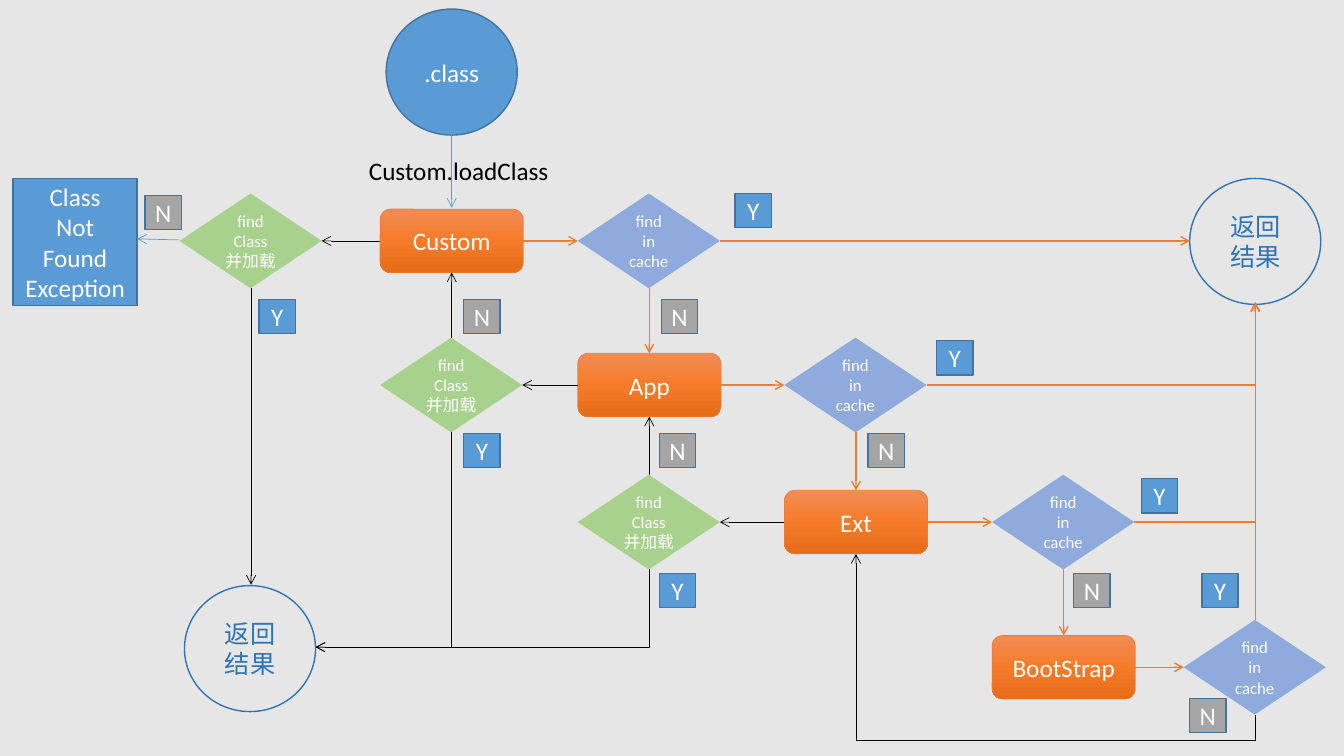
from copy import deepcopy

from lxml import etree
from pptx import Presentation
from pptx.dml.color import RGBColor
from pptx.enum import shapes as kinds, text as align
from pptx.oxml.ns import qn
from pptx.util import Inches, Pt

# Content
LOADERS = ["Custom", "App", "Ext", "BootStrap"]
CACHE_STEP = "find\nin\ncache"
CLASS_STEP = "find\nClass\n并加载"
RESULT = "返回结果"
ERROR = "Class\vNot\vFound\vException"
START = ".class"
CALL = "Custom.loadClass"
BRANCHES = {
    "Y": [(7.29, 1.92), (9.29, 3.38), (11.32, 4.75), (11.92, 5.69),
          (2.57, 2.97), (4.6, 4.3), (6.54, 5.69)],
    "N": [(6.56, 2.97), (8.61, 4.3), (10.65, 5.69), (11.8, 6.93),
          (1.44, 1.94), (4.6, 2.97), (6.54, 4.3)],
}

# Theme: fill, line, line width, text colour, text size
THEME = {
    "font": "Calibri", "background": "E7E6E6", "call": "000000",
    "gradient": [(0, "F18C57"), (0.5, "F67B28"), (1, "E56C19")],
    "start": ("5B9BD5", "43739E", 1, "FFFFFF", 18),
    "result": (None, "2E75B6", 1, "2E75B6", 18),
    "loader": ("gradient", "ED7D31", 0.5, "FFFFFF", 18),
    "cache": ("8FAADC", None, 0, "FFFFFF", 12),
    "class": ("A9D18E", None, 0, "FFFFFF", 12),
    "Y": ("5B9BD5", "43739E", 1, "FFFFFF", 18),
    "N": ("A5A5A5", "43739E", 1, "FFFFFF", 18),
    "down": ("ED7D31", 1), "up": ("000000", 0.5), "edge": ("5B9BD5", 0.5),
}

# Grid: one column per step, one row per loader
COLUMNS = [1.78, 3.77, 5.73, 7.78, 9.84, 11.74]
ROWS = [2.39, 3.82, 5.18, 6.62]
CENTRES = [left + 0.71 for left in COLUMNS]
LOADER, DIAMOND, CIRCLE, BRANCH = (1.42, 0.63), (1.41, 0.94), (1.3, 1.25), (0.36, 0.34)
HALF_LOADER, HALF_DIAMOND = LOADER[1] / 2, DIAMOND[1] / 2
SHAPE = kinds.MSO_SHAPE

deck = Presentation()
deck.slide_width, deck.slide_height = Inches(13.33), Inches(7.5)
slide = deck.slides.add_slide(deck.slide_layouts[6])
slide.background.fill.solid()
slide.background.fill.fore_color.rgb = RGBColor.from_string(THEME["background"])


def write(frame, words, color, size, alignment):
    frame.text = words
    for paragraph in frame.paragraphs:
        paragraph.alignment = alignment
        paragraph.font.color.rgb = RGBColor.from_string(color)
        for name, value in {"name": THEME["font"], "size": Pt(size)}.items():
            setattr(paragraph.font, name, value)


def paint_gradient(fill):
    fill.gradient()
    fill.gradient_angle = 270
    first = fill.gradient_stops[0].color
    first.rgb = RGBColor.from_string(THEME["gradient"][0][1])
    stop_list = fill._xPr.find(qn("a:gradFill")).find(qn("a:gsLst"))
    stop_list.insert(1, deepcopy(stop_list[0]))
    for stop, (position, color) in zip(fill.gradient_stops, THEME["gradient"]):
        stop.position = position
        stop.color.rgb = RGBColor.from_string(color)


def node(kind, words, style, left, top, size):
    fill, line, width, color, points = THEME[style]
    shape = slide.shapes.add_shape(kind, *map(Inches, (left, top, *size)))
    shape.shadow.inherit = False
    if fill == "gradient":
        paint_gradient(shape.fill)
    elif fill:
        shape.fill.solid()
        shape.fill.fore_color.rgb = RGBColor.from_string(fill)
    else:
        shape.fill.background()
    if line:
        shape.line.color.rgb = RGBColor.from_string(line)
        shape.line.width = Pt(width)
    else:
        shape.line.fill.background()
    shape.text_frame.vertical_anchor = align.MSO_ANCHOR.MIDDLE
    write(shape.text_frame, words, color, points, align.PP_ALIGN.CENTER)


def arrow(style, start, end, bend=None, turned=False, overshoot=None):
    """Straight arrow, or a bent one; a turned bend leaves vertically."""
    (x1, y1), (x2, y2) = start, end
    if turned:
        mid_x, mid_y = (x1 + x2) / 2, (y1 + y2) / 2
        rise, run = (y2 - y1) / 2, abs(x2 - x1) / 2
        x1, y1, x2, y2 = mid_x - rise, mid_y - run, mid_x + rise, mid_y + run
    kind = kinds.MSO_CONNECTOR.ELBOW if bend else kinds.MSO_CONNECTOR.STRAIGHT
    link = slide.shapes.add_connector(kind, *map(Inches, (x1, y1, x2, y2)))
    color, width = THEME[style]
    link.line.color.rgb = RGBColor.from_string(color)
    link.line.width = Pt(width)
    properties = link.element.spPr
    if turned:
        properties.find(qn("a:xfrm")).set("rot", "5400000")
    if bend:
        geometry = properties.find(qn("a:prstGeom"))
        geometry.set("prst", bend)
        if overshoot is not None:
            guides = geometry.find(qn("a:avLst"))
            etree.SubElement(guides, qn("a:gd"), name="adj1",
                             fmla=f"val {round(overshoot * 100000)}")
    etree.SubElement(properties.find(qn("a:ln")), qn("a:tailEnd"), type="arrow")
    etree.SubElement(properties, qn("a:effectLst"))


# Entry, error and result nodes
node(SHAPE.OVAL, START, "start", 3.83, 0.09, CIRCLE)
node(SHAPE.OVAL, RESULT, "result", 1.83, 5.81, CIRCLE)
node(SHAPE.OVAL, RESULT, "result", 11.8, 1.77, CIRCLE)
node(SHAPE.RECTANGLE, ERROR, "start", 0.13, 1.77, (1.23, 1.26))
arrow("edge", (CENTRES[1], 1.32), (CENTRES[1], 2.06))
arrow("edge", (COLUMNS[0], 2.38), (1.36, 2.37))

call = slide.shapes.add_textbox(*map(Inches, (3.56, 1.49, 1.98, 0.4)))
call.text_frame.word_wrap = False
write(call.text_frame, CALL, THEME["call"], 18, align.PP_ALIGN.LEFT)

# Loaders with their cache lookup on the right and class lookup on the left
last = len(LOADERS) - 1
for row, (loader, middle) in enumerate(zip(LOADERS, ROWS)):
    column = row + 1
    left, right = COLUMNS[column], COLUMNS[column + 1]
    diamond_top = middle - HALF_DIAMOND
    node(SHAPE.ROUNDED_RECTANGLE, loader, "loader", left, middle - HALF_LOADER, LOADER)
    node(SHAPE.DIAMOND, CACHE_STEP, "cache", right, diamond_top, DIAMOND)
    arrow("down", (left + LOADER[0], middle), (right, middle))
    if row < last:
        node(SHAPE.DIAMOND, CLASS_STEP, "class", COLUMNS[row], diamond_top, DIAMOND)
        arrow("up", (left, middle), (COLUMNS[row] + DIAMOND[0], middle))
        below = ROWS[row + 1]
        arrow("down", (CENTRES[column + 1], middle + HALF_DIAMOND),
              (CENTRES[column + 1], below - HALF_LOADER))
    if 0 < row < last:
        arrow("up", (CENTRES[row], diamond_top),
              (CENTRES[row], ROWS[row - 1] + HALF_LOADER))

# Cache hits lead to the result on the right
hit = (CENTRES[5], 3)
arrow("down", (COLUMNS[2] + DIAMOND[0], ROWS[0]), (11.8, ROWS[0]))
for row in (1, 2):
    arrow("down", (COLUMNS[row + 2] + DIAMOND[0], ROWS[row]), hit, "bentConnector2")
arrow("down", (CENTRES[5], ROWS[3] - HALF_DIAMOND), hit)

# Loaded classes lead to the result on the left
arrow("up", (CENTRES[0], ROWS[0] + HALF_DIAMOND), (CENTRES[0], 5.8))
for row in (1, 2):
    arrow("up", (CENTRES[row], ROWS[row] + HALF_DIAMOND), (3.13, 6.42),
          "bentConnector2", turned=True)

# Last cache miss returns to Ext
arrow("up", (CENTRES[5], ROWS[3] + HALF_DIAMOND), (CENTRES[3], ROWS[2] + HALF_LOADER),
      "bentConnector3", turned=True, overshoot=-0.16)

# Branch labels
for answer, places in BRANCHES.items():
    for left, top in places:
        node(SHAPE.RECTANGLE, answer, answer, left, top, BRANCH)

deck.save("out.pptx")
